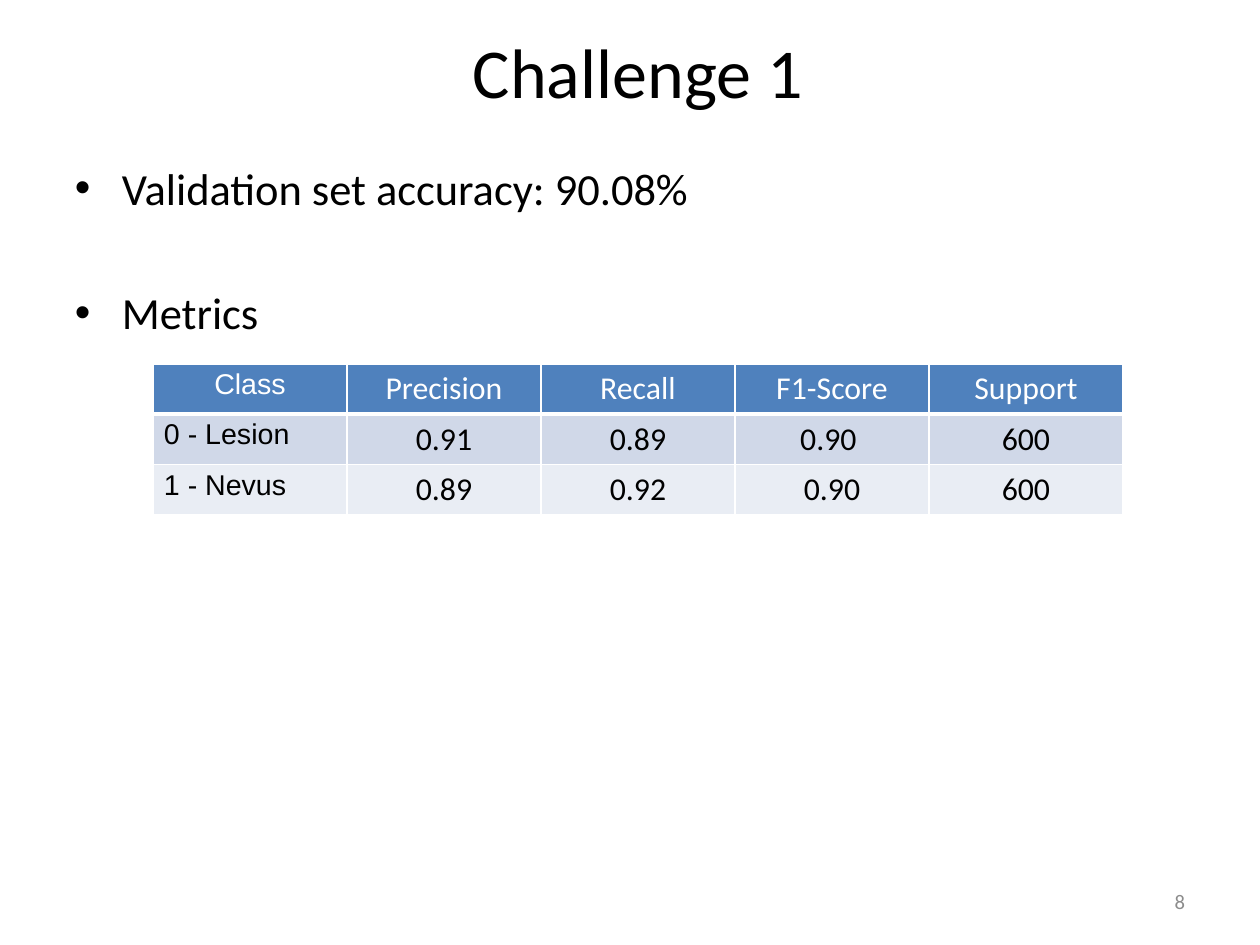
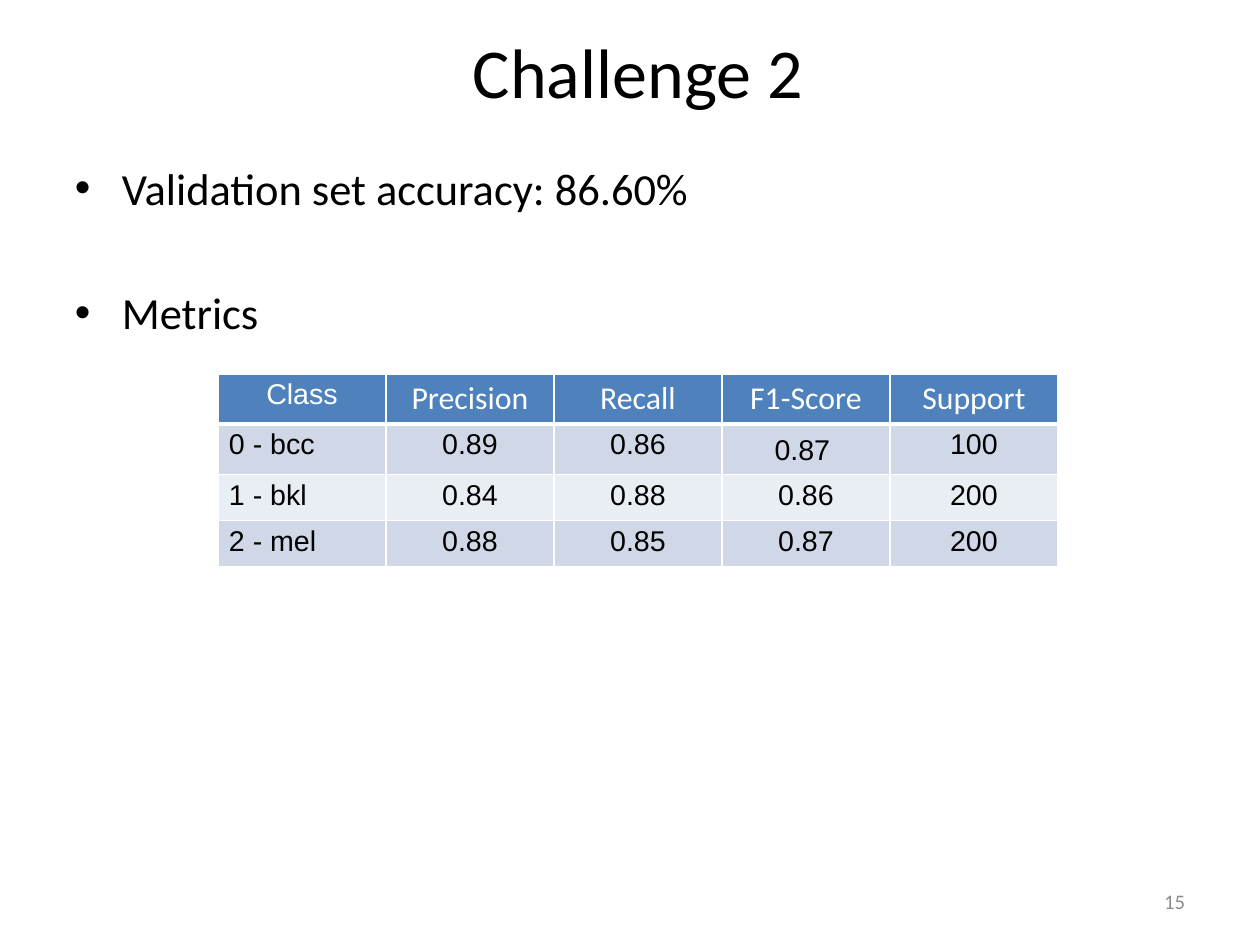
from lxml.etree import SubElement
from pptx import Presentation
from pptx.dml.color import RGBColor
from pptx.enum.text import MSO_ANCHOR, MSO_AUTO_SIZE, PP_ALIGN
from pptx.oxml.ns import qn
from pptx.util import Pt

SCALE = 8000
SLIDE_SIZE = (1260, 945)
TITLE_BOX = (71, 23, 1134, 94)
BODY_BOX = (63, 154, 1134, 718)
NUMBER_BOX = (903, 876, 294, 50)
BULLET_INDENT = 47
CELL_MARGINS = (11, 7, 11, 7)
COLORS = {
    "text": "000000",
    "number": "8C8C8C",
    "white": "FFFFFF",
    "header": "4F81BD",
    "odd_row": "D0D8E8",
    "even_row": "E9EDF4",
}
ARIAL = {"font": "Arial", "size": 18}
CALIBRI = {"font": "Calibri", "size": 20}
HEADINGS = ("Class", "Precision", "Recall", "F1-Score", "Support")
CHALLENGES = (
    {
        "title": "Challenge 1",
        "accuracy": "90.08%",
        "number": "8",
        "table_top": 364,
        "column_width": 194,
        "row_heights": (50, 50, 50),
        "figure_format": CALIBRI,
        "rows": (
            ("0 - Lesion", "0.91", "0.89", "0.90 ", "600"),
            ("1 - Nevus", "0.89", "0.92", "0.90", "600"),
        ),
    },
    {
        "title": "Challenge 2",
        "accuracy": "86.60%",
        "number": "15",
        "table_top": 374,
        "column_width": 168,
        "row_heights": (50, 50, 46, 46),
        "figure_format": ARIAL,
        "rows": (
            ("0 - bcc", "0.89", "0.86", "0.87 ", "100"),
            ("1 - bkl", "0.84", "0.88", "0.86", "200"),
            ("2 - mel", "0.88", "0.85", "0.87", "200"),
        ),
    },
)


def px(length):
    return int(length * SCALE)


def add_text(paragraph, text, font="Calibri", size=28, color="text", align=PP_ALIGN.LEFT):
    paragraph.alignment = align
    run = paragraph.add_run()
    run.text = text
    run.font.name = font
    run.font.size = Pt(size)
    run.font.bold = False
    run.font.color.rgb = RGBColor.from_string(COLORS[color])


def place_frame(shape, box, anchor=MSO_ANCHOR.MIDDLE):
    shape.left, shape.top, shape.width, shape.height = map(px, box)
    frame = shape.text_frame
    frame.word_wrap = True
    frame.auto_size = MSO_AUTO_SIZE.NONE
    frame.vertical_anchor = anchor
    frame.margin_left = frame.margin_right = px(12)
    frame.margin_top = frame.margin_bottom = px(7)
    return frame


def add_frame(slide, box, anchor=MSO_ANCHOR.MIDDLE):
    return place_frame(slide.shapes.add_textbox(*map(px, box)), box, anchor)


def add_bullet(paragraph):
    properties = paragraph._p.get_or_add_pPr()
    properties.set("marL", str(px(BULLET_INDENT)))
    properties.set("indent", str(-px(BULLET_INDENT)))
    SubElement(properties, qn("a:buFont"), typeface="Arial")
    SubElement(properties, qn("a:buChar"), char="•")


def add_bullets(slide, box, lines):
    frame = add_frame(slide, box, MSO_ANCHOR.TOP)
    for index, line in enumerate(lines):
        paragraph = frame.add_paragraph() if index else frame.paragraphs[0]
        add_text(paragraph, line)
        if index:
            paragraph.space_before = Pt(44.5)
        add_bullet(paragraph)


def set_borders(cell, top, bottom):
    properties = cell._tc.get_or_add_tcPr()
    for side, width in (("L", 1), ("R", 1), ("T", top), ("B", bottom)):
        line = SubElement(properties, qn(f"a:ln{side}"), w=str(Pt(width)))
        fill = SubElement(line, qn("a:solidFill"))
        SubElement(fill, qn("a:srgbClr"), val=COLORS["white"])


def format_cell(cell, text, row, column, text_format):
    set_borders(cell, top=3 if row == 1 else 1, bottom=3 if row == 0 else 1)
    fill = "header" if row == 0 else "odd_row" if row % 2 else "even_row"
    cell.fill.solid()
    cell.fill.fore_color.rgb = RGBColor.from_string(COLORS[fill])
    cell.margin_left, cell.margin_top, cell.margin_right, cell.margin_bottom = map(px, CELL_MARGINS)
    paragraph = cell.text_frame.paragraphs[0]
    paragraph.line_spacing = 0.93
    color = "text" if row else "white"
    align = PP_ALIGN.LEFT if row and column == 0 else PP_ALIGN.CENTER
    add_text(paragraph, text.rstrip(), color=color, align=align, **text_format)
    if text.endswith(" "):
        add_text(paragraph, " ", color=color, align=align, **CALIBRI)


def add_metrics_table(slide, center, top, column_width, row_heights, rows, figure_format):
    width = column_width * len(HEADINGS)
    box = (center - width / 2, top, width, sum(row_heights))
    table = slide.shapes.add_table(len(row_heights), len(HEADINGS), *map(px, box)).table
    for table_column in table.columns:
        table_column.width = px(column_width)
    for row, (height, values) in enumerate(zip(row_heights, (HEADINGS, *rows))):
        table.rows[row].height = px(height)
        for column, text in enumerate(values):
            text_format = ARIAL if column == 0 else figure_format if row else CALIBRI
            format_cell(table.cell(row, column), text, row, column, text_format)


def add_challenge_slide(presentation, challenge):
    slide = presentation.slides.add_slide(presentation.slide_layouts[5])
    title = place_frame(slide.shapes.title, TITLE_BOX)
    add_text(title.paragraphs[0], challenge["title"], size=44.1, align=PP_ALIGN.CENTER)
    add_bullets(slide, BODY_BOX, (f"Validation set accuracy: {challenge['accuracy']}", "Metrics"))
    number = add_frame(slide, NUMBER_BOX)
    add_text(number.paragraphs[0], challenge["number"], size=13, color="number", align=PP_ALIGN.RIGHT)
    add_metrics_table(
        slide,
        center=TITLE_BOX[0] + TITLE_BOX[2] / 2,
        top=challenge["table_top"],
        column_width=challenge["column_width"],
        row_heights=challenge["row_heights"],
        rows=challenge["rows"],
        figure_format=challenge["figure_format"],
    )


def main():
    presentation = Presentation()
    presentation.slide_width, presentation.slide_height = map(px, SLIDE_SIZE)
    for challenge in CHALLENGES:
        add_challenge_slide(presentation, challenge)
    presentation.save("out.pptx")


if __name__ == "__main__":
    main()
